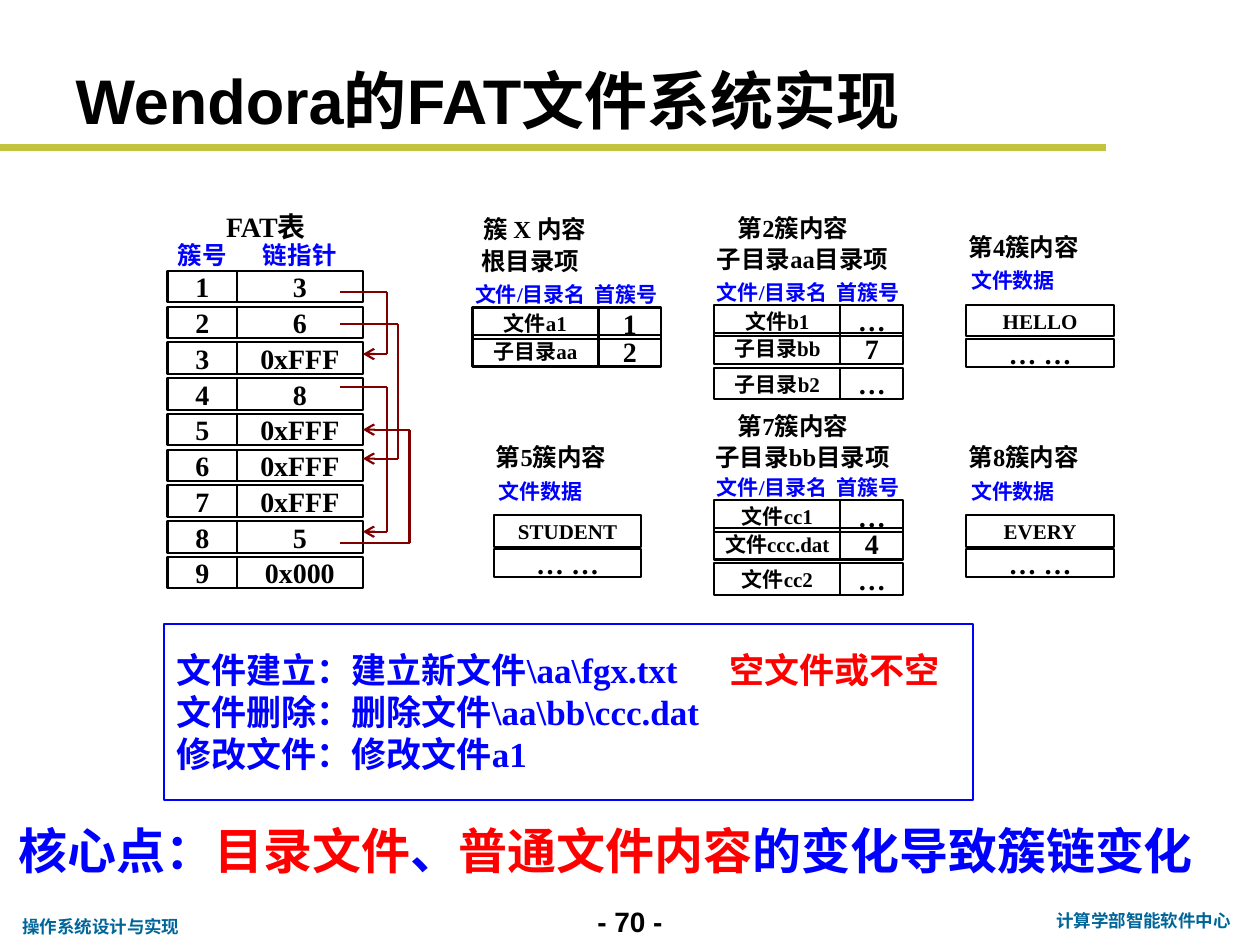
import dataclasses

import pptx
import pptx.dml.color
import pptx.enum.shapes
import pptx.enum.text
import pptx.oxml
import pptx.oxml.ns
import pptx.util
from pptx.util import Inches

ALIGN = pptx.enum.text.PP_ALIGN
ANCHOR = pptx.enum.text.MSO_ANCHOR


@dataclasses.dataclass(frozen=True)
class Theme:
    """Colours, fonts and type sizes of the slide."""
    black: str = "000000"
    white: str = "FFFFFF"
    blue: str = "0000FF"
    red: str = "FF0000"
    maroon: str = "800000"
    olive: str = "C1C43C"
    teal: str = "006699"
    sans: str = "Arial"
    serif: str = "Times New Roman"
    title: int = 36
    key_point: int = 28
    summary: int = 20
    cell: int = 16
    heading: int = 14
    label: int = 12
    footer: int = 10
    border: float = 1.25


THEME = Theme()
ROW_HEIGHT = 0.25


def rgb(value):
    """Return a colour from its hexadecimal form."""
    return pptx.dml.color.RGBColor.from_string(value)


def write(shape, paragraphs, size=THEME.label, color=THEME.black, font=THEME.serif,
          align=ALIGN.CENTER, anchor=ANCHOR.MIDDLE, wrap=False, margins=(0, 0), tab=None):
    """Write bold text; a paragraph is a string or a list of (text, colour) runs."""
    frame = shape.text_frame
    frame.auto_size = pptx.enum.text.MSO_AUTO_SIZE.NONE
    frame.word_wrap = wrap
    frame.vertical_anchor = anchor
    frame.margin_left = frame.margin_right = Inches(margins[0])
    frame.margin_top = frame.margin_bottom = Inches(margins[1])
    paragraphs = [paragraphs] if isinstance(paragraphs, str) else paragraphs
    for index, content in enumerate(paragraphs):
        paragraph = frame.add_paragraph() if index else frame.paragraphs[0]
        paragraph.alignment = align
        if tab:
            tabs = pptx.oxml.ns.qn("a:tabLst")
            tab_list = paragraph._p.get_or_add_pPr().makeelement(tabs, {})
            paragraph._p.get_or_add_pPr().append(tab_list)
            stop = tab_list.makeelement(pptx.oxml.ns.qn("a:tab"),
                                        {"pos": str(Inches(tab)), "algn": "l"})
            tab_list.append(stop)
        for text, run_color in [(content, color)] if isinstance(content, str) else content:
            run = paragraph.add_run()
            run.text = text
            run.font.name = font
            run.font.size = pptx.util.Pt(size)
            run.font.bold = True
            run.font.color.rgb = rgb(run_color)
    return shape


def add_label(slide, box, text, **formatting):
    """Add a text box."""
    return write(slide.shapes.add_textbox(*map(Inches, box)), text, **formatting)


def add_cell(slide, box, text, fill=None, line=THEME.black, weight=THEME.border, **formatting):
    """Add a bordered rectangle with text."""
    kind = pptx.enum.shapes.MSO_SHAPE.RECTANGLE
    shape = slide.shapes.add_shape(kind, *map(Inches, box))
    shape.shadow.inherit = False
    if fill:
        shape.fill.solid()
        shape.fill.fore_color.rgb = rgb(fill)
    else:
        shape.fill.background()
    shape.line.color.rgb = rgb(line)
    shape.line.width = pptx.util.Pt(weight)
    return write(shape, text, **formatting)


def add_line(slide, start, end, color, weight=THEME.border, arrow=False):
    """Add a straight line, with an arrowhead at its end if wanted."""
    kind = pptx.enum.shapes.MSO_CONNECTOR.STRAIGHT
    line = slide.shapes.add_connector(kind, *map(Inches, (*start, *end)))
    line.line.color.rgb = rgb(color)
    line.line.width = pptx.util.Pt(weight)
    properties = line._element.spPr
    if arrow:
        outline = line.line._get_or_add_ln()
        outline.append(outline.makeelement(pptx.oxml.ns.qn("a:tailEnd"), {"type": "arrow"}))
    properties.append(properties.makeelement(pptx.oxml.ns.qn("a:effectLst"), {}))
    return line


def add_fat_table(slide, box):
    """Draw the allocation table and its chain pointers inside the box."""
    left, top, width, height = box
    number_width = 0.55
    pointer_left, pointer_width = left + number_width, width - number_width
    first_row = top + 0.48
    values = ["3", "6", "0xFFF", "8", "0xFFF", "0xFFF", "0xFFF", "5", "0x000"]
    pitch = (top + height - ROW_HEIGHT - first_row) / (len(values) - 1)
    pointer_cells = []
    for index, value in enumerate(values):
        row = first_row + index * pitch
        add_cell(slide, (left, row, number_width, ROW_HEIGHT), str(index + 1), size=THEME.cell)
        pointer_cells.append(add_cell(slide, (pointer_left, row, pointer_width, ROW_HEIGHT),
                                      value, size=THEME.cell))

    start, edge = left + 1.37, left + width
    middle = first_row + 4 * pitch + ROW_HEIGHT / 2
    chains = [(0.65, 0.19, 1.14, None), (0.9, 0.28, 1.97, None),
              (1.4, 0.19, 2.55, None), (2.64, 0.37, middle - top, pointer_cells[4])]
    for source, reach, destination, target in chains:
        bend, source, destination = edge + reach, top + source, top + destination
        add_line(slide, (start, source), (bend, source), THEME.maroon)
        add_line(slide, (bend, source), (bend, destination), THEME.maroon)
        arrow = add_line(slide, (bend, destination), (edge, destination), THEME.maroon, arrow=True)
        if target:
            arrow.end_connect(target, 3)

    style = {"size": THEME.heading, "color": THEME.blue}
    add_label(slide, (left, top + 0.23, number_width, ROW_HEIGHT), "簇号", **style)
    add_label(slide, (pointer_left, top + 0.23, pointer_width, ROW_HEIGHT), "链指针", **style)
    add_label(slide, (left + 0.28, top, 1, ROW_HEIGHT), "FAT表", size=THEME.cell)


def add_directory(slide, box, heading, subheading, entries, shifts=(0, 0)):
    """Draw a directory cluster: headings at the top, entries at the bottom of the box."""
    left, top, width, height = box
    number_width = 0.5
    name_width = width - number_width
    offsets = (0, 0.22, 0.5)[:len(entries)]
    grid_top = top + height - offsets[-1] - ROW_HEIGHT
    add_label(slide, (left + shifts[0], top, 1.25, ROW_HEIGHT), heading, size=THEME.heading)
    add_label(slide, (left + 0.16 + shifts[1], top + 0.25, 1.08, ROW_HEIGHT), subheading,
              size=THEME.heading)
    for x, label_width, text in [(0, 0.92, "文件/目录名"), (0.97, 0.5, "首簇号")]:
        add_label(slide, (left + x, grid_top - 0.23, label_width, ROW_HEIGHT), text,
                  color=THEME.blue)
    for offset, (name, number) in zip(offsets, entries):
        row = grid_top + offset
        add_cell(slide, (left, row, name_width, ROW_HEIGHT), name)
        add_cell(slide, (left + name_width, row, number_width, ROW_HEIGHT), number,
                 size=THEME.cell)


def add_data_cluster(slide, box, heading, content):
    """Draw a cluster that holds file data inside the box."""
    left, top, width, height = box
    cell_left, cell_width, rest_height = left + 0.17, width - 0.17, 0.22
    add_label(slide, (left, top, 1.25, ROW_HEIGHT), heading, size=THEME.heading)
    add_label(slide, (left + 0.08, top + 0.27, 0.92, ROW_HEIGHT), "文件数据", color=THEME.blue)
    add_cell(slide, (cell_left, top + 0.59, cell_width, ROW_HEIGHT), content)
    add_cell(slide, (cell_left, top + height - rest_height, cell_width, rest_height), "… …",
             size=THEME.cell)


def add_summary(slide, box):
    """Draw the framed list of file operations."""
    add_cell(slide, box, [
        [("文件建立：建立新文件\\aa\\fgx.txt\t", THEME.blue), ("空文件或不空", THEME.red)],
        "文件删除：删除文件\\aa\\bb\\ccc.dat",
        "修改文件：修改文件a1",
    ], fill=THEME.white, line=THEME.blue, weight=1, size=THEME.summary, color=THEME.blue,
        align=ALIGN.LEFT, wrap=True, margins=(0.1, 0.05), tab=4.39)


def add_key_point(slide, box):
    """Write the closing statement."""
    add_label(slide, box, [[
        ("核心点：", THEME.blue), ("目录文件", THEME.red), ("、", THEME.blue),
        ("普通文件内容", THEME.red), ("的变化导致簇链变化", THEME.blue),
    ]], size=THEME.key_point, align=ALIGN.LEFT, anchor=ANCHOR.TOP, wrap=True,
        margins=(0.1, 0.05))


def add_title(slide, box):
    """Place the title and the rule below it."""
    title = slide.shapes.title
    title.left, title.top, title.width, title.height = map(Inches, box)
    write(title, "Wendora的FAT文件系统实现", size=THEME.title, font=THEME.sans,
          align=ALIGN.LEFT, wrap=True, margins=(0.1, 0.05))
    add_line(slide, (0, 1.17), (8.78, 1.17), THEME.olive, weight=4)


def add_footer(slide):
    """Write the course, page number and department."""
    style = {"font": THEME.sans, "anchor": ANCHOR.TOP, "margins": (0.1, 0.05)}
    small = {**style, "size": THEME.footer, "color": THEME.teal}
    add_label(slide, (4.5, 7.13, 1, 0.37), "- 70 -", size=THEME.cell, **style)
    add_label(slide, (8.25, 7.17, 1.65, 0.27), "计算学部智能软件中心", **small)
    add_label(slide, (0.08, 7.22, 1.46, 0.27), "操作系统设计与实现", align=ALIGN.LEFT, **small)


def main():
    """Build and save the presentation."""
    presentation = pptx.Presentation()
    presentation.slide_width, presentation.slide_height = Inches(10), Inches(7.5)
    slide = presentation.slides.add_slide(presentation.slide_layouts[5])
    add_title(slide, (0.5, 0.58, 7.21, 0.42))
    add_footer(slide)
    add_fat_table(slide, (1.33, 1.67, 1.55, 3))
    add_directory(slide, (3.75, 1.69, 1.5, 1.22), "簇 X 内容", "根目录项",
                  [("文件a1", "1"), ("子目录aa", "2")], shifts=(-0.13, -0.24))
    add_directory(slide, (5.67, 1.68, 1.5, 1.49), "第2簇内容", "子目录aa目录项",
                  [("文件b1", "…"), ("子目录bb", "7"), ("子目录b2", "…")])
    add_directory(slide, (5.67, 3.25, 1.5, 1.47), "第7簇内容", "子目录bb目录项",
                  [("文件cc1", "…"), ("文件ccc.dat", "4"), ("文件cc2", "…")])
    for left, top, number, content in [(7.5, 1.83, 4, "HELLO"), (3.75, 3.5, 5, "STUDENT"),
                                       (7.5, 3.5, 8, "EVERY")]:
        add_data_cluster(slide, (left, top, 1.34, 1.08), f"第{number}簇内容", content)
    add_summary(slide, (1.3, 4.95, 6.42, 1.4))
    add_key_point(slide, (0.05, 6.46, 9.67, 0.57))
    presentation.save("out.pptx")


if __name__ == "__main__":
    main()
